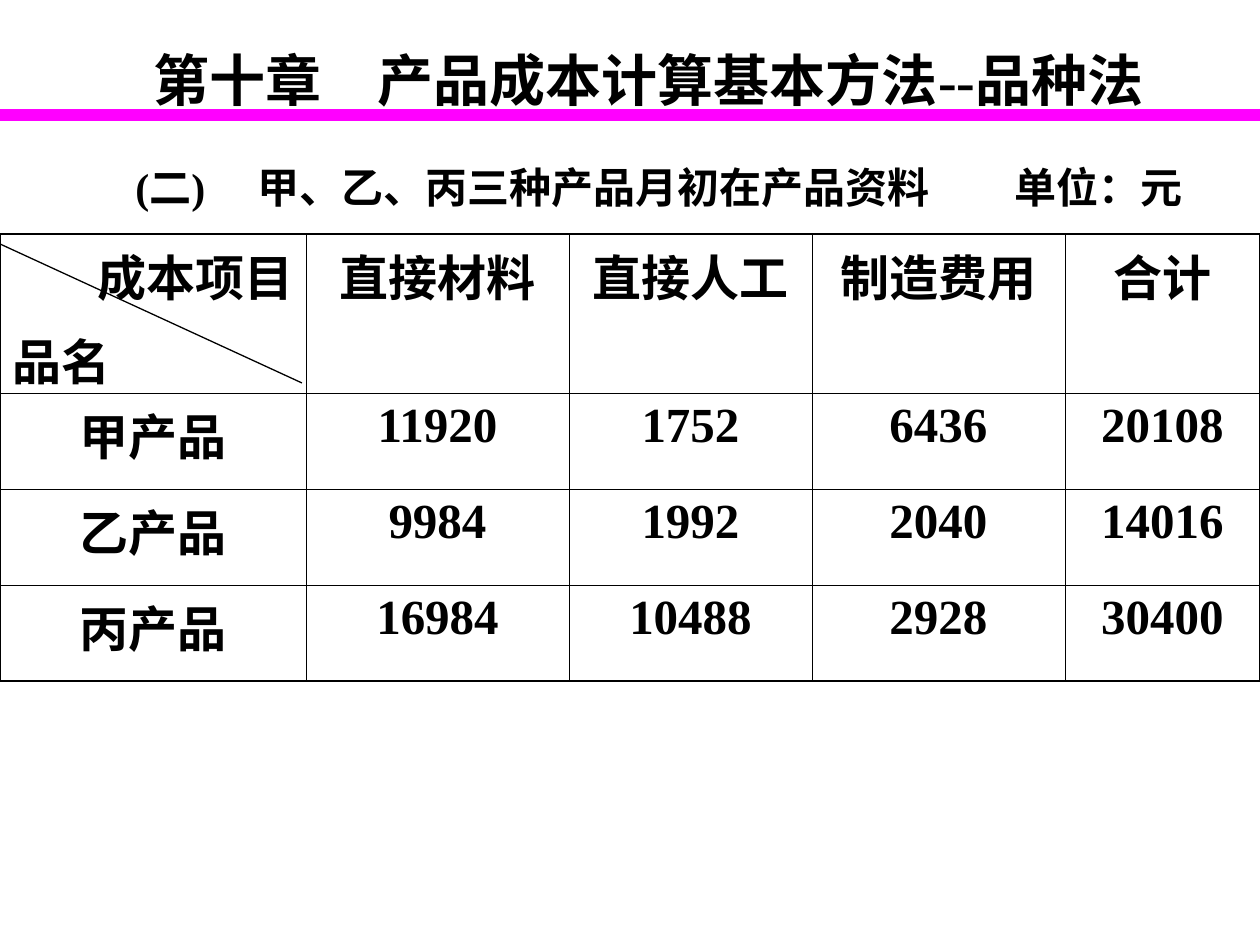
from lxml import etree
from pptx import Presentation, util as u
from pptx.dml.color import RGBColor
from pptx.enum import shapes, text
from pptx.oxml import ns

PX = u.Inches(1) / 126
BLACK = RGBColor(0, 0, 0)
MAGENTA = RGBColor(255, 0, 255)
FONT = "Times New Roman"
INNER, OUTER = 0.45, 1.08


def px(count):
    return u.Emu(round(count * PX))


def style(para, size, align):
    para.alignment = align
    para.font.name = FONT
    para.font.size = u.Pt(size)
    para.font.bold = True
    para.font.color.rgb = BLACK


deck = Presentation()
deck.slide_width, deck.slide_height = px(1260), px(945)
page = deck.slides.add_slide(deck.slide_layouts[6])

# Chapter title
title = page.shapes.add_textbox(px(113), px(0), px(1071), px(158)).text_frame
title.word_wrap = True
title.vertical_anchor = text.MSO_ANCHOR.MIDDLE
title.text = "第十章　产品成本计算基本方法--品种法"
style(title.paragraphs[0], 32, text.PP_ALIGN.CENTER)

# Cost table
rows = [
    ["成本项目\n品名", "直接材料", "直接人工", "制造费用", "合计"],
    ["甲产品", "11920", "1752", "6436", "20108"],
    ["乙产品", "9984", "1992", "2040", "14016"],
    ["丙产品", "16984", "10488", "2928", "30400"],
]
widths = [306, 263, 243, 253, 195]
heights = [159, 96, 96, 96]
table = page.shapes.add_table(len(rows), len(widths), px(0), px(234),
                              px(sum(widths)), px(sum(heights))).table
table.first_row = table.horz_banding = False
for column, width in zip(table.columns, widths):
    column.width = px(width)
for row, height in zip(table.rows, heights):
    row.height = px(height)

last_row, last_column = len(rows) - 1, len(widths) - 1
for r, labels in enumerate(rows):
    for c, label in enumerate(labels):
        cell = table.cell(r, c)
        cell.text = label
        cell.fill.background()
        for para in cell.text_frame.paragraphs:
            style(para, 28, text.PP_ALIGN.CENTER)
            para.space_before = u.Pt(7)
        edges = {"lnL": c == 0, "lnR": c == last_column,
                 "lnT": r == 0, "lnB": r == last_row}
        properties = cell._tc.get_or_add_tcPr()
        for place, (tag, outside) in enumerate(edges.items()):
            border = etree.Element(ns.qn("a:" + tag))
            border.set("w", str(u.Pt(OUTER if outside else INNER)))
            fill = etree.SubElement(border, ns.qn("a:solidFill"))
            etree.SubElement(fill, ns.qn("a:srgbClr")).set("val", str(BLACK))
            properties.insert(place, border)

corner = table.cell(0, 0).text_frame.paragraphs
corner[0].alignment = text.PP_ALIGN.RIGHT
corner[1].alignment = text.PP_ALIGN.LEFT

# Corner diagonal and title rule
for x1, y1, x2, y2, color, weight in [
    (0, 244, 302, 383, BLACK, 0.75),
    (0, 115, 1260, 115, MAGENTA, 7),
]:
    line = page.shapes.add_connector(shapes.MSO_CONNECTOR.STRAIGHT,
                                     px(x1), px(y1), px(x2), px(y2))
    line.line.color.rgb = color
    line.line.width = u.Pt(weight)
    etree.SubElement(line._element.spPr, ns.qn("a:effectLst"))

# Table caption with the unit at a tab stop
caption = page.shapes.add_textbox(px(123), px(155), px(1090), px(63)).text_frame
caption.word_wrap = True
caption.text = "(二)\t甲、乙、丙三种产品月初在产品资料\t单位：元"
para = caption.paragraphs[0]
tabs = etree.SubElement(para._p.get_or_add_pPr(), ns.qn("a:tabLst"))
for stop in (122, 879):
    tab = etree.SubElement(tabs, ns.qn("a:tab"))
    tab.set("pos", str(px(stop)))
    tab.set("algn", "l")
style(para, 24, text.PP_ALIGN.LEFT)

deck.save("out.pptx")
